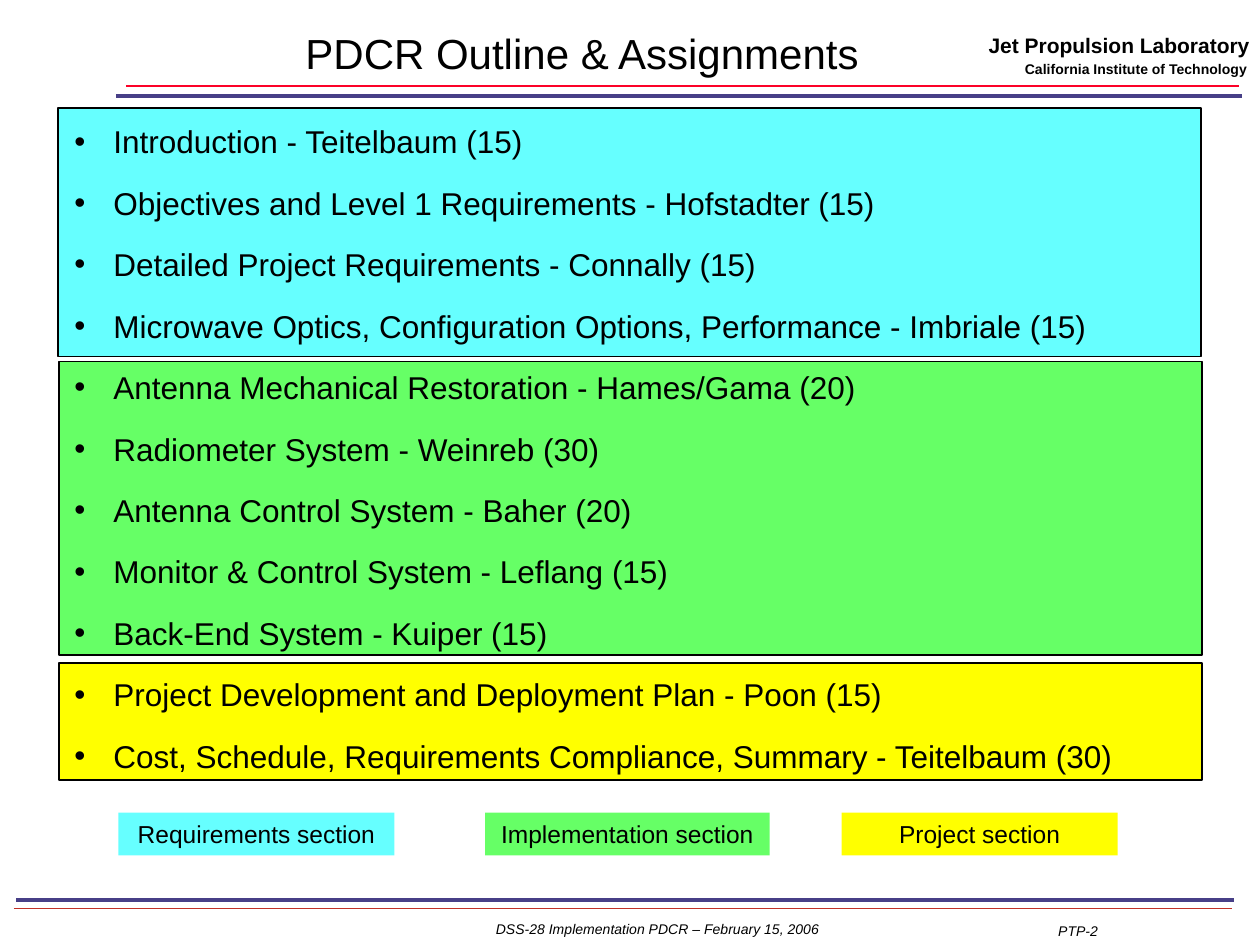
from lxml import etree
from pptx import Presentation
from pptx.dml.color import RGBColor
from pptx.enum import shapes, text
from pptx.oxml.ns import qn
from pptx.util import Inches, Pt

CYAN, GREEN, YELLOW = "66FFFF", "66FF66", "FFFF00"
BLACK, NAVY = "000000", "473F87"
LEFT, CENTER, RIGHT = text.PP_ALIGN.LEFT, text.PP_ALIGN.CENTER, text.PP_ALIGN.RIGHT
TOP, MIDDLE = text.MSO_ANCHOR.TOP, text.MSO_ANCHOR.MIDDLE

SECTIONS = [  # left, top, width, height, fill
    (0.47, 5.26, 9.07, 0.93, YELLOW),
    (0.47, 2.87, 9.07, 2.33, GREEN),
    (0.46, 0.86, 9.07, 1.97, CYAN),
]
AGENDA = [
    "Introduction - Teitelbaum (15)",
    "Objectives and Level 1 Requirements - Hofstadter (15)",
    "Detailed Project Requirements - Connally (15)",
    "Microwave Optics, Configuration Options, Performance - Imbriale (15)",
    "Antenna Mechanical Restoration - Hames/Gama (20)",
    "Radiometer System - Weinreb (30)",
    "Antenna Control System - Baher (20)",
    "Monitor & Control System - Leflang (15)",
    "Back-End System - Kuiper (15)",
    "Project Development and Deployment Plan - Poon (15)",
    "Cost, Schedule, Requirements Compliance, Summary - Teitelbaum (30)",
]
LEGEND = [  # left offset, width, label, fill
    (0, 2.19, "Requirements section", CYAN),
    (2.91, 2.26, "Implementation section", GREEN),
    (5.74, 2.19, "Project section", YELLOW),
]


def color(hex_value):
    return RGBColor.from_string(hex_value)


def write(paragraph, words, size, align=LEFT, bold=False, italic=False):
    paragraph.alignment = align
    run = paragraph.add_run()
    run.text = words
    font = run.font
    font.name, font.size, font.bold, font.italic = "Arial", Pt(size), bold, italic
    font.color.rgb = color(BLACK)


def set_frame(frame, anchor, side=0.1):
    frame.word_wrap = True
    frame.auto_size = text.MSO_AUTO_SIZE.NONE
    frame.vertical_anchor = anchor
    frame.margin_left = frame.margin_right = Inches(side)
    frame.margin_top = frame.margin_bottom = Inches(0.05)


def place(shape, left, top, width, height):
    shape.left, shape.top = Inches(left), Inches(top)
    shape.width, shape.height = Inches(width), Inches(height)


def add_label(slide, box, words, size, align, anchor=TOP, side=0.1, **style):
    frame = slide.shapes.add_textbox(*map(Inches, box)).text_frame
    set_frame(frame, anchor, side)
    write(frame.paragraphs[0], words, size, align, **style)


def add_rule(slide, left, right, y, hex_value, weight):
    rule = slide.shapes.add_connector(
        shapes.MSO_CONNECTOR.STRAIGHT, Inches(left), Inches(y), Inches(right), Inches(y))
    rule.line.color.rgb = color(hex_value)
    rule.line.width = Pt(weight)
    etree.SubElement(rule.element.spPr, qn("a:effectLst"))


def add_block(slide, box, fill, outlined):
    block = slide.shapes.add_shape(shapes.MSO_SHAPE.RECTANGLE, *map(Inches, box))
    block.shadow.inherit = False
    block.fill.solid()
    block.fill.fore_color.rgb = color(fill)
    if outlined:
        block.line.color.rgb = color(BLACK)
        block.line.width = Pt(1)
    else:
        block.line.fill.background()
    return block


def add_header(slide, left, top, width):
    title = slide.shapes.title
    place(title, left + 0.91, top - 0.01, 5.58, 0.42)
    set_frame(title.text_frame, MIDDLE)
    heading = title.text_frame.paragraphs[0]
    heading.line_spacing = 0.87
    write(heading, "PDCR Outline & Assignments", 24, CENTER)

    right = left + width
    add_label(slide, (right - 2.25, top - 0.03, 2.31, 0.28),
              "Jet Propulsion Laboratory", 12, RIGHT, MIDDLE, 0, bold=True)
    add_label(slide, (right - 2.25, top + 0.19, 2.29, 0.22),
              "California Institute of Technology", 8, RIGHT, MIDDLE, 0, bold=True)
    add_rule(slide, left, right, top + 0.51, NAVY, 2.25)
    add_rule(slide, left + 0.08, right - 0.03, top + 0.43, "FC0128", 1)


def add_bullet(paragraph):
    properties = paragraph._p.get_or_add_pPr()
    properties.set("marL", str(Inches(0.31)))
    properties.set("indent", str(-Inches(0.31)))
    bullet_color = etree.SubElement(properties, qn("a:buClr"))
    etree.SubElement(bullet_color, qn("a:srgbClr"), val=BLACK)
    etree.SubElement(properties, qn("a:buFont"), typeface="Arial")
    etree.SubElement(properties, qn("a:buChar"), char="•")


def add_agenda(slide, left, top, width, height):
    for *box, fill in SECTIONS:
        add_block(slide, box, fill, outlined=True)
    body = slide.placeholders[1]
    body.element.getparent().append(body.element)  # in front of the sections
    place(body, left, top, width, height)
    frame = body.text_frame
    set_frame(frame, TOP)
    for index, item in enumerate(AGENDA):
        paragraph = frame.add_paragraph() if index else frame.paragraphs[0]
        add_bullet(paragraph)
        paragraph.line_spacing = 1.0
        paragraph.space_before = Pt(9 if index else 0)
        paragraph.space_after = Pt(4.5)
        write(paragraph, item, 18)


def add_legend(slide, left, top, height):
    for offset, width, label, fill in LEGEND:
        key = add_block(slide, (left + offset, top, width, height), fill, outlined=False)
        set_frame(key.text_frame, MIDDLE)
        write(key.text_frame.paragraphs[0], label, 14, CENTER)


def add_footer(slide, left, top, width):
    add_rule(slide, left, left + width, top + 0.07, "BF2F27", 0.75)
    add_rule(slide, left + 0.02, left + width + 0.01, top, NAVY, 2.25)
    add_label(slide, (left + 2.61, top + 0.12, 5, 0.23),
              "DSS-28 Implementation PDCR – February 15, 2006", 8, CENTER, italic=True)
    add_label(slide, (left + 8.19, top + 0.13, 0.96, 0.24), "PTP-2", 8, LEFT, italic=True)


def main():
    deck = Presentation()
    deck.slide_width, deck.slide_height = Inches(10), Inches(7.5)
    slide = deck.slides.add_slide(deck.slide_layouts[1])
    add_header(slide, 0.92, 0.25, 8.94)
    add_agenda(slide, 0.49, 0.92, 9, 5.86)
    add_legend(slide, 0.94, 6.45, 0.34)
    add_footer(slide, 0.11, 7.14, 9.67)
    deck.save("out.pptx")


if __name__ == "__main__":
    main()
